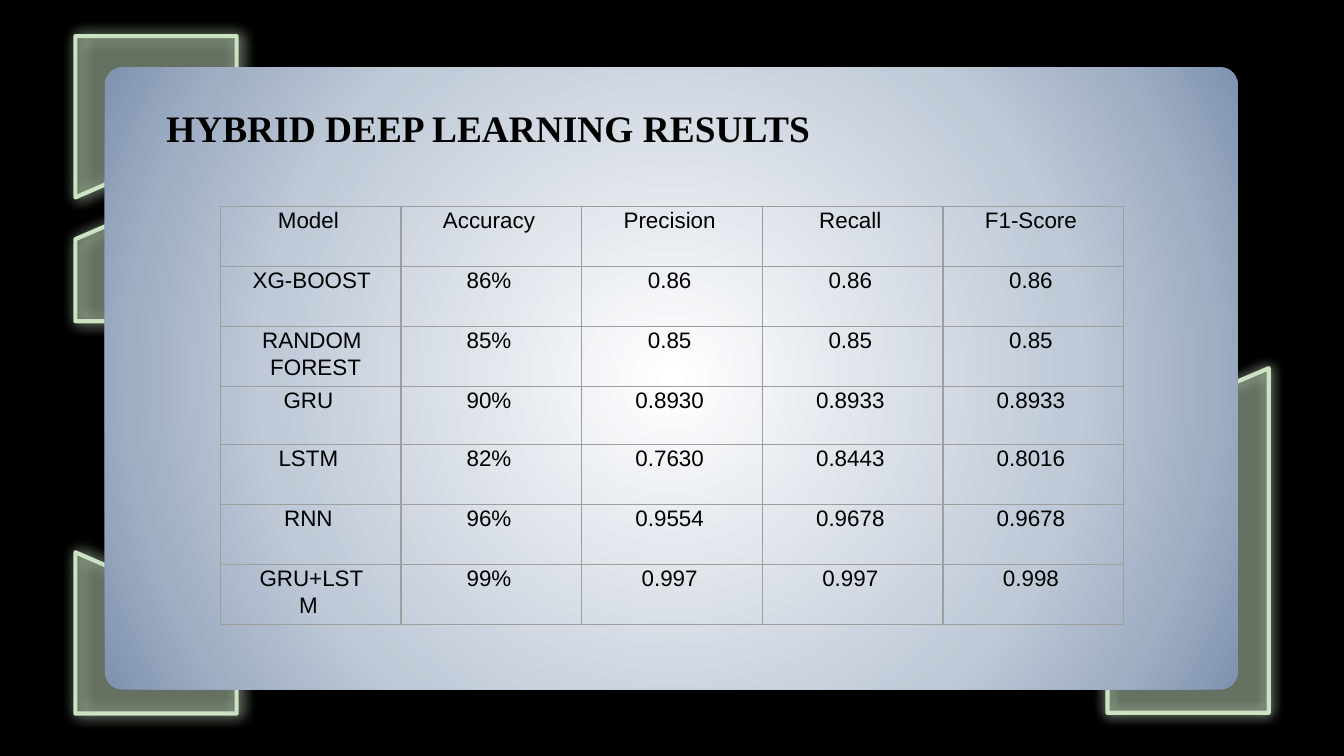
import pptx
import pptx.dml.color
import pptx.enum.shapes
import pptx.enum.text
import pptx.oxml
import pptx.oxml.ns
import pptx.util

Pt = pptx.util.Pt
qn = pptx.oxml.ns.qn
NAMESPACE = pptx.oxml.ns.nsdecls("a")
SHAPES = pptx.enum.shapes.MSO_SHAPE

ACCENT = "CBE2C3"
BLACK = "000000"

# Corner ornaments: outline points, clockwise from the top left
ORNAMENTS = [
    [(40.4, 19.4), (126.8, 19.4), (126.8, 68.4), (40.4, 105.8)],
    [(40.4, 295.9), (126.8, 333.4), (126.8, 382.3), (40.4, 382.3)],
    [(40.4, 128.2), (128.9, 90), (126.8, 172.1), (40.4, 172.1)],
]

PANEL_STOPS = [(0, "FFFFFF"), (63, "BFC9D7"), (84, "9FAEC3"), (100, "7E92AE")]

RESULTS = [
    ["Model", "Accuracy", "Precision", "Recall", "F1-Score"],
    ["XG-BOOST", "86%", "0.86", "0.86", "0.86"],
    ["RANDOM FOREST", "85%", "0.85", "0.85", "0.85"],
    ["GRU", "90%", "0.8930", "0.8933", "0.8933"],
    ["LSTM", "82%", "0.7630", "0.8443", "0.8016"],
    ["RNN", "96%", "0.9554", "0.9678", "0.9678"],
    ["GRU+LSTM", "99%", "0.997", "0.997", "0.998"],
]


def color(value):
    return pptx.dml.color.RGBColor.from_string(value)


def style_ornament(shape, blur, distance, direction):
    """Give a shape a translucent fill, a light outline and a glowing shadow."""
    shape.fill.solid()
    shape.fill.fore_color.rgb = color(ACCENT)
    properties = shape._element.spPr
    fill_color = properties.find(qn("a:solidFill")).find(qn("a:srgbClr"))
    fill_color.append(pptx.oxml.parse_xml(f'<a:alpha {NAMESPACE} val="30000"/>'))
    shape.line.color.rgb = color(ACCENT)
    shape.line.width = Pt(2.25)
    shape.shadow.inherit = False
    properties.find(qn("a:effectLst")).append(pptx.oxml.parse_xml(
        f'<a:outerShdw {NAMESPACE} blurRad="{Pt(blur)}" dist="{Pt(distance)}" '
        f'dir="{direction * 60000}" algn="ctr" rotWithShape="0">'
        f'<a:srgbClr val="{ACCENT}"><a:alpha val="96000"/></a:srgbClr></a:outerShdw>'))


def add_ornament(slide, points):
    corners = [(Pt(x), Pt(y)) for x, y in points]
    builder = slide.shapes.build_freeform(*corners[0])
    builder.add_line_segments(corners[1:], close=True)
    style_ornament(builder.convert_to_shape(), 7.9, 1.5, 7)


def add_panel(slide):
    panel = slide.shapes.add_shape(
        SHAPES.ROUNDED_RECTANGLE, Pt(56.2), Pt(36), Pt(607), Pt(333.4))
    panel.adjustments[0] = 0.028
    panel.shadow.inherit = False
    panel.line.fill.background()
    stops = "".join(
        f'<a:gs pos="{position * 1000}"><a:srgbClr val="{value}"/></a:gs>'
        for position, value in PANEL_STOPS)
    gradient = pptx.oxml.parse_xml(
        f'<a:gradFill {NAMESPACE} rotWithShape="1"><a:gsLst>{stops}</a:gsLst>'
        '<a:path path="circle"><a:fillToRect l="50000" t="50000" r="50000" b="50000"/>'
        '</a:path></a:gradFill>')
    panel._element.spPr.find(qn("a:prstGeom")).addnext(gradient)


def format_font(paragraph, name, size, bold=False):
    for run in paragraph.runs:
        run.font.name = name
        run.font.size = Pt(size)
        run.font.bold = bold
        run.font.color.rgb = color(BLACK)


def add_title(slide, text):
    title = slide.shapes.add_textbox(Pt(82), Pt(46.8), Pt(556.6), Pt(45.4))
    text_frame = title.text_frame
    text_frame.word_wrap = True
    text_frame.margin_left = text_frame.margin_right = Pt(7.2)
    text_frame.margin_top = Pt(9.4)
    text_frame.text = text
    format_font(text_frame.paragraphs[0], "Times New Roman", 20, bold=True)


def add_borders(cell):
    properties = cell._tc.get_or_add_tcPr()
    for position, side in enumerate(("lnL", "lnR", "lnT", "lnB")):
        properties.insert(position, pptx.oxml.parse_xml(
            f'<a:{side} {NAMESPACE} w="{Pt(0.75)}"><a:solidFill>'
            f'<a:srgbClr val="9E9E9E"/></a:solidFill></a:{side}>'))


def fill_cell(cell, text):
    cell.fill.background()
    add_borders(cell)
    cell.margin_left, cell.margin_right = Pt(16.6), Pt(5.8)
    cell.margin_top = cell.margin_bottom = 0
    paragraph = cell.text_frame.paragraphs[0]
    paragraph.line_spacing = 1.07
    layout = paragraph._p.get_or_add_pPr()
    if text == "RANDOM FOREST":
        paragraph.text = text
        layout.set("marL", str(Pt(10.1)))
        layout.set("indent", str(Pt(-4.3)))
    else:
        paragraph.text = f"{text} "
        paragraph.alignment = pptx.enum.text.PP_ALIGN.CENTER
        layout.set("marR", str(Pt(10)))
    format_font(paragraph, "Arial", 12)


def add_results_table(slide):
    frame = slide.shapes.add_table(
        len(RESULTS), len(RESULTS[0]), Pt(118.1), Pt(110.6), Pt(484), Pt(224))
    table = frame.table
    table.first_row = table.horz_banding = False
    for column in table.columns:
        column.width = Pt(96.8)
    for row, values in zip(table.rows, RESULTS):
        row.height = Pt(31.1 if values[0] == "GRU" else 32.15)
        for cell, value in zip(row.cells, values):
            fill_cell(cell, value)


def main():
    presentation = pptx.Presentation()
    presentation.slide_width, presentation.slide_height = Pt(720), Pt(405)
    slide = presentation.slides.add_slide(presentation.slide_layouts[6])
    slide.background.fill.solid()
    slide.background.fill.fore_color.rgb = color(BLACK)

    # Backdrop
    for points in ORNAMENTS:
        add_ornament(slide, points)
    corner = slide.shapes.add_shape(
        SHAPES.FLOWCHART_MANUAL_INPUT, Pt(593.3), Pt(197.3), Pt(86.4), Pt(184.6))
    style_ornament(corner, 6.8, 0, 0)
    add_panel(slide)

    # Content
    add_title(slide, "HYBRID DEEP LEARNING RESULTS")
    add_results_table(slide)
    presentation.save("out.pptx")


if __name__ == "__main__":
    main()
